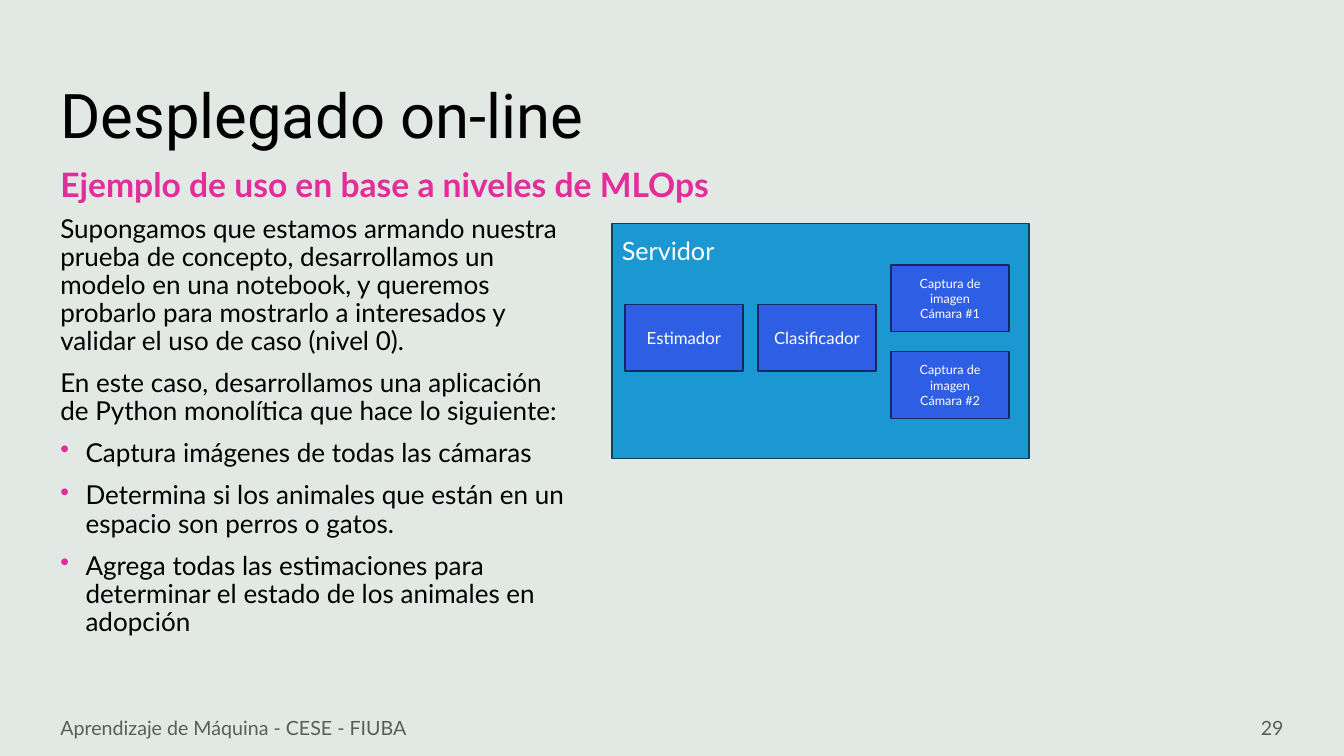
from dataclasses import dataclass

from lxml.etree import SubElement
from pptx import Presentation
from pptx.dml.color import RGBColor as Rgb
from pptx.enum.shapes import MSO_SHAPE as Preset
from pptx.enum.text import MSO_ANCHOR as Anchor, PP_ALIGN as Align
from pptx.oxml.ns import qn
from pptx.util import Inches, Pt


@dataclass(frozen=True)
class Theme:
    backdrop: str = "E2E8E4"
    ink: str = "000000"
    muted: str = "5A5D5B"
    accent: str = "E32D9B"
    light: str = "FFFFFF"
    server: str = "1B98D1"
    server_edge: str = "0C435C"
    module: str = "2D5EE3"
    module_edge: str = "142963"
    heading_font: str = "Roboto"
    text_font: str = "Lato"
    title_size: float = 44
    subtitle_size: float = 24
    body_size: float = 18.6
    server_size: float = 18
    footer_size: float = 14
    module_size: float = 12
    camera_size: float = 9


THEME = Theme()
WIDTH, HEIGHT = Inches(13.33), Inches(7.5)
COLUMNS, ROWS = 40, 30
MARGIN = 1.5
SERVER_COLUMN = 18.21
MODULE_COLUMN, MODULE_STEP = 18.6, 3.96
MODULE_WIDTH, MODULE_HEIGHT = 3.51, 2.64
CAMERA_ROW, CAMERA_STEP = 10.52, 3.44

INTRO = [
    "Supongamos que estamos armando nuestra prueba de concepto, desarrollamos un "
    "modelo en una notebook, y queremos probarlo para mostrarlo a interesados y "
    "validar el uso de caso (nivel 0).",
    "En este caso, desarrollamos una aplicación de Python monolítica que hace lo siguiente:",
]
TASKS = [
    "Captura imágenes de todas las cámaras",
    "Determina si los animales que están en un espacio son perros o gatos.",
    "Agrega todas las estimaciones para determinar el estado de los animales en adopción",
]


def grid(column, row, columns, rows):
    return (
        round(WIDTH * column / COLUMNS),
        round(HEIGHT * row / ROWS),
        round(WIDTH * columns / COLUMNS),
        round(HEIGHT * rows / ROWS),
    )


def apply(target, values):
    for attribute, value in values.items():
        setattr(target, attribute, value)


def style(paragraph, size, color, font=THEME.text_font, bold=False):
    apply(paragraph.font, {"size": Pt(size), "name": font, "bold": bold})
    paragraph.font.color.rgb = Rgb.from_string(color)


def add_bullet(paragraph):
    properties = paragraph._p.get_or_add_pPr()
    properties.set("marL", str(Inches(0.25)))
    properties.set("indent", str(-Inches(0.25)))
    bullet_color = SubElement(properties, qn("a:buClr"))
    SubElement(bullet_color, qn("a:srgbClr"), val=THEME.accent)
    SubElement(properties, qn("a:buChar"), char="•")


def write(frame, lines, size, color, align=Align.LEFT, **look):
    frame.text = "\n".join(lines)
    for paragraph in frame.paragraphs:
        paragraph.alignment = align
        style(paragraph, size, color, **look)


def add_label(slide, place, text, size, color, anchor=Anchor.TOP, wrap=True, **look):
    frame = slide.shapes.add_textbox(*grid(*place)).text_frame
    apply(frame, {"word_wrap": wrap, "vertical_anchor": anchor})
    write(frame, [text], size, color, **look)


def add_body(slide, place):
    frame = slide.shapes.add_textbox(*grid(*place)).text_frame
    frame.word_wrap = True
    frame.text = "\n".join(INTRO + TASKS)
    for index, paragraph in enumerate(frame.paragraphs):
        if index >= len(INTRO):
            add_bullet(paragraph)
        apply(paragraph, {"line_spacing": 0.9, "space_before": Pt(10 if index else 0)})
        style(paragraph, THEME.body_size, THEME.ink)


def add_block(slide, place, fill, edge):
    block = slide.shapes.add_shape(Preset.RECTANGLE, *grid(*place))
    block.shadow.inherit = False
    block.fill.solid()
    block.fill.fore_color.rgb = Rgb.from_string(fill)
    block.line.color.rgb = Rgb.from_string(edge)
    block.line.width = Pt(1)
    return block


def add_module(slide, position, row, lines, size):
    column = MODULE_COLUMN + position * MODULE_STEP
    place = (column, row, MODULE_WIDTH, MODULE_HEIGHT)
    frame = add_block(slide, place, THEME.module, THEME.module_edge).text_frame
    apply(frame, {"word_wrap": True, "vertical_anchor": Anchor.MIDDLE})
    write(frame, lines, size, THEME.light, align=Align.CENTER)


def add_server(slide):
    add_block(slide, (SERVER_COLUMN, 8.88, 12.42, 9.32), THEME.server, THEME.server_edge)
    add_label(slide, (SERVER_COLUMN, 9.16, 3.51, 1.6), "Servidor",
              THEME.server_size, THEME.light, wrap=False)
    for position, name in enumerate(["Estimador", "Clasificador"]):
        add_module(slide, position, 12.08, [name], THEME.module_size)
    for camera in range(2):
        add_module(slide, 2, CAMERA_ROW + camera * CAMERA_STEP,
                   ["Captura de imagen", f"Cámara #{camera + 1}"], THEME.camera_size)


def main():
    deck = Presentation()
    apply(deck, {"slide_width": WIDTH, "slide_height": HEIGHT})
    slide = deck.slides.add_slide(deck.slide_layouts[6])
    slide.background.fill.solid()
    slide.background.fill.fore_color.rgb = Rgb.from_string(THEME.backdrop)

    add_label(slide, (MARGIN, 1.6, 35.77, 5.8), "Desplegado on-line", THEME.title_size,
              THEME.ink, anchor=Anchor.MIDDLE, font=THEME.heading_font)
    add_label(slide, (MARGIN, 6.32, 31.93, 2), "Ejemplo de uso en base a niveles de MLOps",
              THEME.subtitle_size, THEME.accent, bold=True)
    add_body(slide, (MARGIN, 8.36, 15.78, 20.04))
    add_server(slide)
    add_label(slide, (MARGIN, 28.08, 13.5, 1.6), "Aprendizaje de Máquina - CESE - FIUBA",
              THEME.footer_size, THEME.muted, anchor=Anchor.MIDDLE)
    add_label(slide, (29.5, 28.08, 9, 1.6), "29", THEME.footer_size, THEME.muted,
              anchor=Anchor.MIDDLE, align=Align.RIGHT)
    deck.save("out.pptx")


if __name__ == "__main__":
    main()
